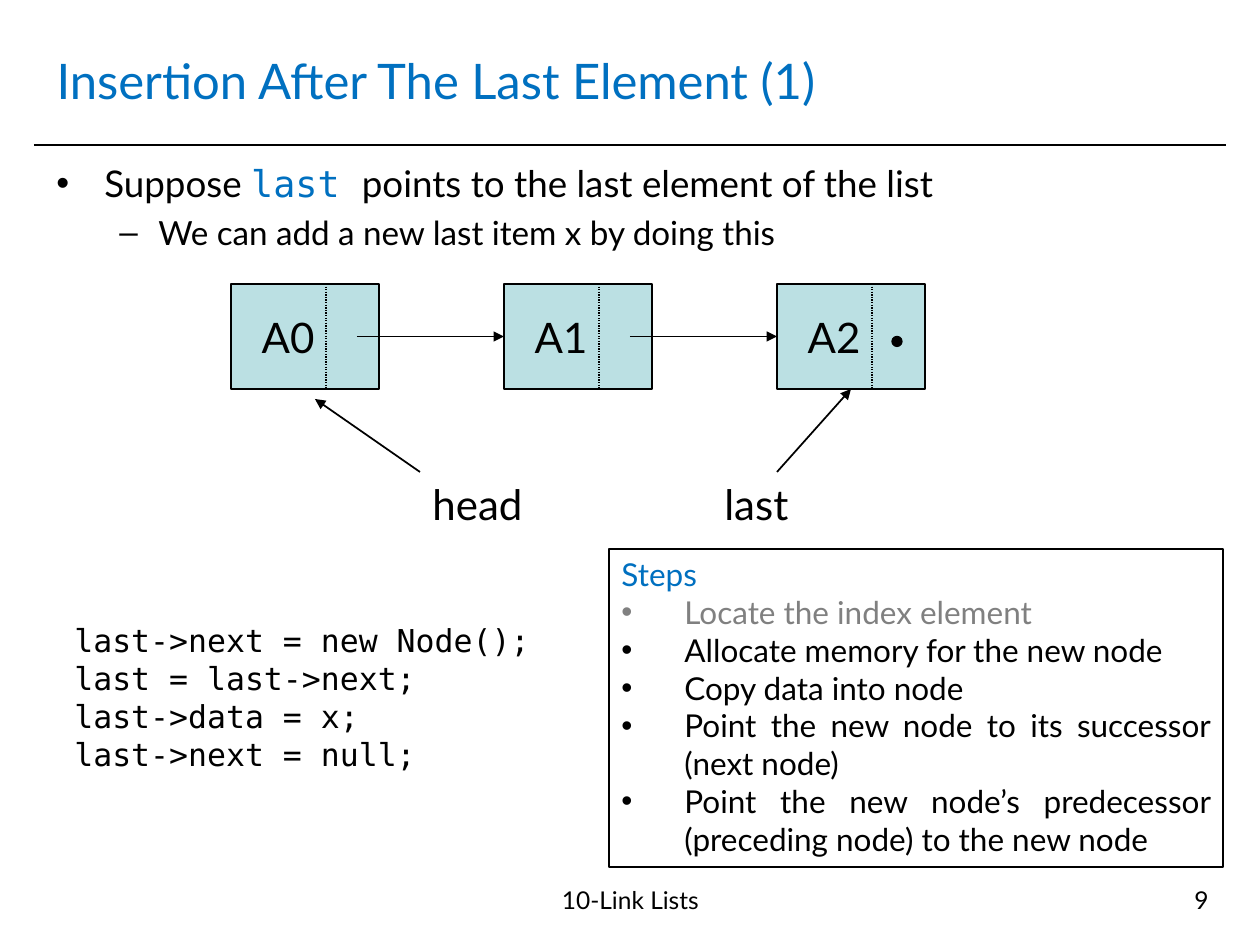
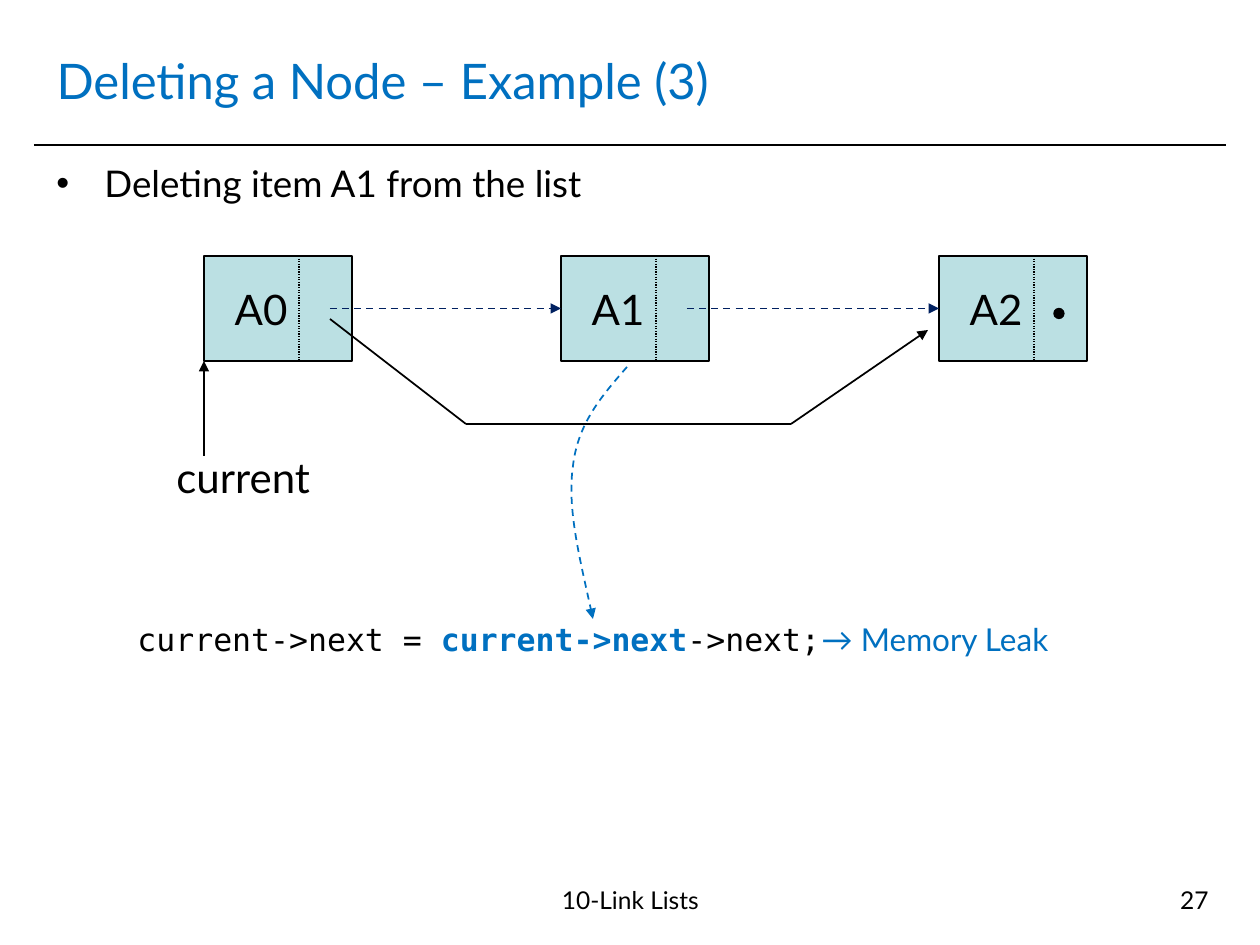
from itertools import pairwise
from lxml.etree import SubElement
from pptx import Presentation
from pptx.dml.color import RGBColor
from pptx.enum.dml import MSO_LINE
from pptx.enum.shapes import MSO_CONNECTOR, MSO_SHAPE
from pptx.enum.text import MSO_ANCHOR, MSO_AUTO_SIZE, PP_ALIGN
from pptx.oxml.ns import qn
from pptx.util import Pt

PX = 7257.14
SLIDE_SIZE = (1260, 945)
COLORS = {"ink": "000000", "accent": "0070C0", "node": "BBE0E3", "muted": "808080", "old_link": "002060"}
SANS, MONO = "Lato", "DejaVu Sans Mono"
FOOTER = "10-Link Lists"
LEFT, TOP, RIGHT, BOTTOM = 1, 0, 3, 2

NODE_W, NODE_H = 148, 105
DIVIDER_X, POINTER_X, DOT_X, DOT_SIZE = 95, 126, 115, 10
LABEL_INSET = 34

BULLET = {"bullet": "•", "margin": 48, "hang": 48}
SUB_BULLET = {"bullet": "–", "margin": 102, "hang": 39, "before": 4}
STEP = {"bullet": "•", "margin": 63, "hang": 63, "align": PP_ALIGN.JUSTIFY}


def line(text, **style):
    return [(text, style)]


INSERTION = {
    "title": "Insertion After The Last Element (1)",
    "number": "9",
    "body": [
        ([("Suppose ", {}), ("last ", {"font": MONO, "color": "accent"}),
          ("points to the last element of the list", {})], BULLET),
        (line("We can add a new last item x by doing this", size=19), SUB_BULLET),
    ],
    "nodes": {"top": 284, "lefts": {"A0": 231, "A1": 504, "A2": 777}},
    "link": {},
    "labels": [("head", (420, 472, 117, 63)), ("last", (712, 472, 91, 63))],
    "code": ((62, 615, 507, 165), [
        line("last->next = new Node();"),
        line("last = last->next;"),
        line("last->data = x;"),
        line("last->next = null;"),
    ]),
}
STEPS_BOX = (609, 549, 614, 318)
STEPS = [
    (line("Steps", color="accent"), {}),
    (line("Locate the index element", color="muted"), STEP),
    (line("Allocate memory for the new node"), STEP),
    (line("Copy data into node"), STEP),
    (line("Point the new node to its successor (next node)"), STEP),
    (line("Point the new node’s predecessor (preceding node) to the new node"), STEP),
]

DELETION = {
    "title": "Deleting a Node – Example (3)",
    "number": "27",
    "body": [(line("Deleting item A1 from the list"), BULLET)],
    "nodes": {"top": 256, "lefts": {"A0": 204, "A1": 561, "A2": 939}},
    "link": {"color": "old_link", "dash": MSO_LINE.DASH},
    "labels": [("current", (164, 445, 159, 63))],
    "code": ((125, 614, 713, 50), [
        [("current->next = ", {}), ("current->next", {"color": "accent", "bold": True}), ("->next;", {})],
    ]),
}
LEAK = ("→ Memory Leak", (809, 614, 328, 50))
BYPASS = [(330, 319), (466, 424), (791, 424), (928, 330)]
LEAK_CURVE = [(627, 367), (602, 396), (578, 423), (573, 466), (567, 508), (581, 563), (593, 619)]


def emu(*lengths):
    return [round(length * PX) for length in lengths]


def rgb(name):
    return RGBColor.from_string(COLORS[name])


def style_line(outline, color="ink", width=1, dash=None, arrow=False):
    outline.color.rgb = rgb(color)
    outline.width = Pt(width)
    if dash:
        outline.dash_style = dash
    if arrow:
        SubElement(outline._get_or_add_ln(), qn("a:tailEnd"), type="triangle")


def add_line(slide, start, end, **style):
    connector = slide.shapes.add_connector(MSO_CONNECTOR.STRAIGHT, *emu(*start, *end))
    style_line(connector.line, **style)
    SubElement(connector._element.spPr, qn("a:effectLst"))
    return connector


def format_paragraph(paragraph, bullet=None, margin=0, hang=0, before=0, align=PP_ALIGN.LEFT):
    paragraph.alignment = align
    if before:
        paragraph.space_before = Pt(before)
    if bullet:
        properties = paragraph._p.get_or_add_pPr()
        left, indent = emu(margin, -hang)
        properties.set("marL", str(left))
        properties.set("indent", str(indent))
        SubElement(properties, qn("a:buFont"), typeface="Arial")
        SubElement(properties, qn("a:buChar"), char=bullet)


def fill_text(frame, paragraphs, size, font=SANS, color="ink", anchor=MSO_ANCHOR.TOP, wrap=True):
    frame.auto_size = MSO_AUTO_SIZE.NONE
    frame.word_wrap = wrap
    frame.vertical_anchor = anchor
    for index, (runs, layout) in enumerate(paragraphs):
        paragraph = frame.add_paragraph() if index else frame.paragraphs[0]
        format_paragraph(paragraph, **layout)
        for text, style in runs:
            run = paragraph.add_run()
            run.text = text
            run.font.size = Pt(style.get("size", size))
            run.font.name = style.get("font", font)
            run.font.bold = style.get("bold", False)
            run.font.color.rgb = rgb(style.get("color", color))


def add_text(slide, box, paragraphs, size, **style):
    fill_text(slide.shapes.add_textbox(*emu(*box)).text_frame, paragraphs, size, **style)


def add_box(slide, kind, box, fill=None, width=0.75):
    shape = slide.shapes.add_shape(kind, *emu(*box))
    shape.shadow.inherit = False
    if fill:
        shape.fill.solid()
        shape.fill.fore_color.rgb = rgb(fill)
    else:
        shape.fill.background()
    style_line(shape.line, width=width)
    return shape


def add_node(slide, name, left, top):
    node = add_box(slide, MSO_SHAPE.RECTANGLE, (left, top, NODE_W, NODE_H), "node")
    frame = node.text_frame
    frame.margin_left, frame.margin_right = emu(0, LABEL_INSET)
    fill_text(frame, [(line(name), {"align": PP_ALIGN.CENTER})], 24, anchor=MSO_ANCHOR.MIDDLE)
    divider = left + DIVIDER_X
    add_line(slide, (divider, top), (divider, top + NODE_H), width=0.75, dash=MSO_LINE.ROUND_DOT)
    return node


def add_linked_list(slide, top, lefts, link):
    nodes = {name: add_node(slide, name, left, top) for name, left in lefts.items()}
    middle = top + NODE_H / 2
    for source, target in pairwise(lefts):
        arrow = add_line(slide, (lefts[source] + POINTER_X, middle), (lefts[target], middle), arrow=True, **link)
        arrow.end_connect(nodes[target], LEFT)
    last_left = list(lefts.values())[-1]
    add_box(slide, MSO_SHAPE.OVAL, (last_left + DOT_X, middle, DOT_SIZE, DOT_SIZE), "ink")
    return nodes


def add_curve(slide, points, **style):
    builder = slide.shapes.build_freeform(*points[0], scale=PX)
    builder.add_line_segments(points[1:], close=False)
    curve = builder.convert_to_shape()
    segments = list(curve._element.iter(qn("a:lnTo")))
    outline = segments[0].getparent()
    for first in range(0, len(segments), 3):
        bezier = SubElement(outline, qn("a:cubicBezTo"))
        for segment in segments[first:first + 3]:
            bezier.append(segment[0])
            outline.remove(segment)
    curve.shadow.inherit = False
    curve.fill.background()
    style_line(curve.line, **style)


def add_list_slide(deck, content):
    slide = deck.slides.add_slide(deck.slide_layouts[5])
    title = slide.shapes.title
    title.left, title.top, title.width, title.height = emu(44, 26, 1171, 107)
    fill_text(title.text_frame, [(line(content["title"]), {})], 28, color="accent", anchor=MSO_ANCHOR.MIDDLE)
    add_line(slide, (34, 145), (1226, 145))
    add_text(slide, (44, 155, 1171, 115), content["body"], 21)
    add_text(slide, (422, 879, 417, 66), [(line(FOOTER), {"align": PP_ALIGN.CENTER})], 14)
    add_text(slide, (927, 879, 294, 66), [(line(content["number"]), {"align": PP_ALIGN.RIGHT})], 14)
    nodes = add_linked_list(slide, **content["nodes"], link=content["link"])
    for label, box in content["labels"]:
        add_text(slide, box, [(line(label), {})], 24, wrap=False)
    code_box, code = content["code"]
    add_text(slide, code_box, [(runs, {}) for runs in code], 18, font=MONO)
    return slide, nodes


def add_insertion(deck):
    slide, nodes = add_list_slide(deck, INSERTION)
    add_line(slide, (777, 472), (851, 389), arrow=True).end_connect(nodes["A2"], BOTTOM)
    add_line(slide, (420, 472), (315, 399), arrow=True)
    steps = add_box(slide, MSO_SHAPE.RECTANGLE, STEPS_BOX, width=1)
    fill_text(steps.text_frame, STEPS, 18)


def add_deletion(deck):
    slide, _ = add_list_slide(deck, DELETION)
    add_line(slide, (204, 456), (204, 361), arrow=True)
    for start, end in pairwise(BYPASS):
        add_line(slide, start, end, arrow=end == BYPASS[-1])
    leak, leak_box = LEAK
    add_text(slide, leak_box, [(line(leak), {})], 18, color="accent")
    add_curve(slide, LEAK_CURVE, color="accent", dash=MSO_LINE.DASH, arrow=True)


def main():
    deck = Presentation()
    deck.slide_width, deck.slide_height = emu(*SLIDE_SIZE)
    add_insertion(deck)
    add_deletion(deck)
    deck.save("out.pptx")


if __name__ == "__main__":
    main()
